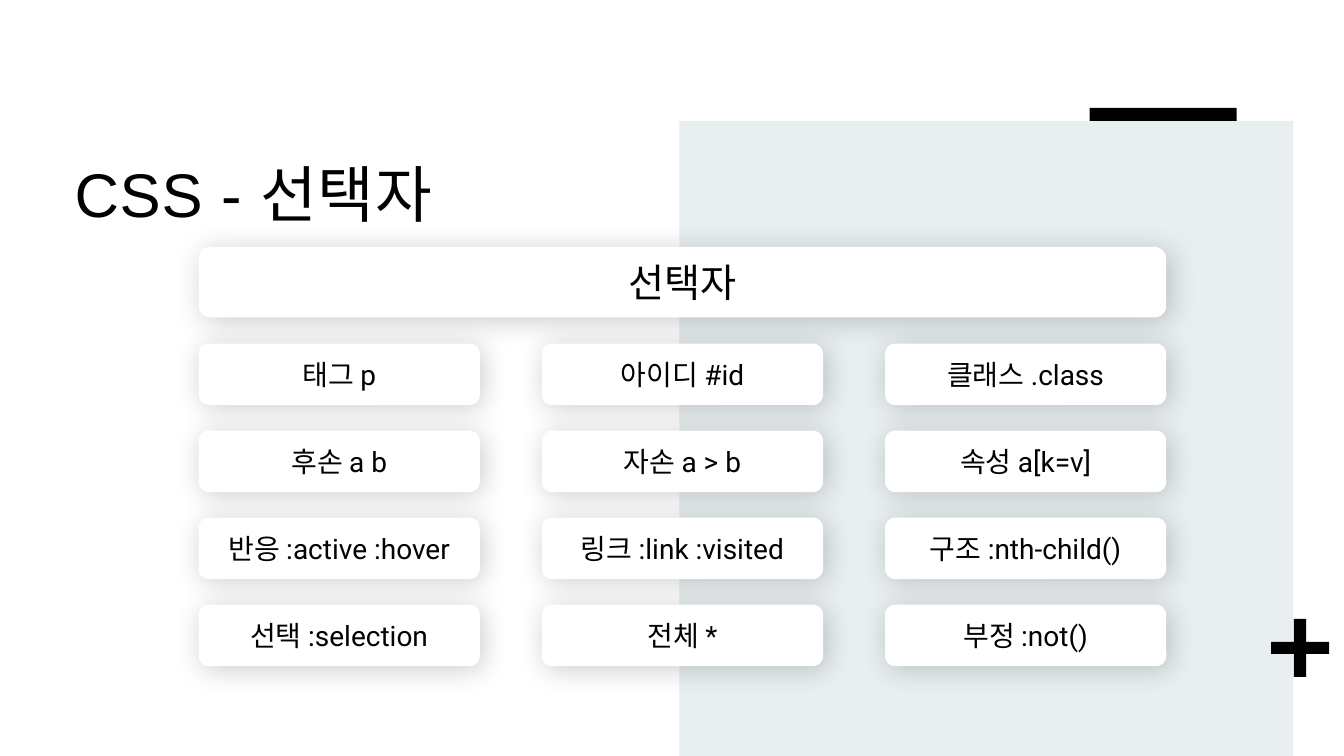
from dataclasses import dataclass

from lxml import etree
from pptx import Presentation
from pptx.dml.color import RGBColor
from pptx.enum.shapes import MSO_SHAPE
from pptx.enum.text import MSO_ANCHOR, PP_ALIGN
from pptx.oxml.ns import qn
from pptx.shapes.autoshape import Shape
from pptx.slide import Slide
from pptx.text.text import _Paragraph
from pptx.util import Pt

RECTANGLE = MSO_SHAPE.RECTANGLE
ROUNDED = MSO_SHAPE.ROUNDED_RECTANGLE
PLUS = MSO_SHAPE.CROSS
MIDDLE = MSO_ANCHOR.MIDDLE
TOP = MSO_ANCHOR.TOP
CENTER = PP_ALIGN.CENTER


@dataclass(frozen=True)
class Theme:
    ink: str = "000000"
    card: str = "FFFFFF"
    panel: str = "E9EFF1"
    title_font: str = "Arial"
    card_font: str = "Roboto"
    title_size: float = 44
    heading_size: float = 28
    label_size: float = 20


@dataclass(frozen=True)
class Area:
    left: float
    top: float
    width: float
    height: float

    def lengths(self) -> tuple[Pt, Pt, Pt, Pt]:
        return Pt(self.left), Pt(self.top), Pt(self.width), Pt(self.height)


@dataclass(frozen=True)
class Decoration:
    preset: MSO_SHAPE
    area: Area
    color: str


@dataclass(frozen=True)
class Card:
    text: str
    area: Area
    size: float


THEME = Theme()
DECORATIONS = (
    Decoration(RECTANGLE, Area(485.28, 86.4, 438.48, 453.6), THEME.panel),
    Decoration(PLUS, Area(907.92, 442.08, 41.4, 41.4), THEME.ink),
    Decoration(RECTANGLE, Area(778.32, 77.04, 105.12, 9.36), THEME.ink),
)
TITLE_AREA = Area(44.64, 95.04, 650.88, 113.76)
HEADING = Card("선택자", Area(141.84, 176.4, 691.2, 50.4), THEME.heading_size)
FIRST_LABEL = Area(141.84, 245.4, 200.88, 43.92)
COLUMN_STEP = 245.16
ROW_STEP = 62.16
SELECTORS = (
    ("태그 p", "아이디 #id", "클래스 .class"),
    ("후손 a b", "자손 a > b", "속성 a[k=v]"),
    ("반응 :active :hover", "링크 :link :visited", "구조 :nth-child()"),
    ("선택 :selection", "전체 *", "부정 :not()"),
)


def add_filled(page: Slide, preset: MSO_SHAPE, area: Area, color: str) -> Shape:
    shape = page.shapes.add_shape(preset, *area.lengths())
    shape.shadow.inherit = False
    shape.fill.solid()
    shape.fill.fore_color.rgb = RGBColor.from_string(color)
    shape.line.fill.background()
    return shape


def add_soft_shadow(shape: Shape) -> None:
    effects = shape._element.spPr.find(qn("a:effectLst"))
    shadow = etree.SubElement(
        effects, qn("a:outerShdw"), blurRad=str(Pt(20)), dist=str(Pt(3)),
        dir=str(45 * 60000), algn="tl", rotWithShape="0",
    )
    color = etree.SubElement(shadow, qn("a:srgbClr"), val=THEME.ink)
    etree.SubElement(color, qn("a:alpha"), val="20000")


def add_span(para: _Paragraph, text: str, font: str, size: float, spacing: float = 0) -> None:
    span = para.add_run()
    span.text = text
    span.font.name = font
    span.font.size = Pt(size)
    span.font.color.rgb = RGBColor.from_string(THEME.ink)
    if spacing:
        span.font._element.set("spc", str(int(spacing * 100)))


def add_card(page: Slide, card: Card) -> None:
    box = add_filled(page, ROUNDED, card.area, THEME.card)
    add_soft_shadow(box)
    frame = box.text_frame
    frame.word_wrap = True
    frame.vertical_anchor = MIDDLE
    para = frame.paragraphs[0]
    para.alignment = CENTER
    add_span(para, card.text, THEME.card_font, card.size)


def add_title(page: Slide) -> None:
    frame = page.shapes.add_textbox(*TITLE_AREA.lengths()).text_frame
    frame.word_wrap = True
    frame.vertical_anchor = TOP
    frame.margin_left = frame.margin_top = frame.margin_right = Pt(8.64)
    frame.margin_bottom = Pt(7.2)
    para = frame.paragraphs[0]
    para.line_spacing = 1.14
    add_span(para, "CSS - 선택자", THEME.title_font, THEME.title_size, 0.5)


def label_cards() -> list[Card]:
    return [
        Card(
            text,
            Area(
                FIRST_LABEL.left + column * COLUMN_STEP,
                FIRST_LABEL.top + row * ROW_STEP,
                FIRST_LABEL.width,
                FIRST_LABEL.height,
            ),
            THEME.label_size,
        )
        for row, texts in enumerate(SELECTORS)
        for column, text in enumerate(texts)
    ]


def main() -> None:
    deck = Presentation()
    deck.slide_width, deck.slide_height = Pt(960), Pt(540)
    page = deck.slides.add_slide(deck.slide_layouts[6])
    for decoration in DECORATIONS:
        shape = add_filled(page, decoration.preset, decoration.area, decoration.color)
        if decoration.preset == PLUS:
            shape.adjustments[0] = 0.395
    add_title(page)
    for card in [HEADING, *label_cards()]:
        add_card(page, card)
    deck.save("out.pptx")


if __name__ == "__main__":
    main()
